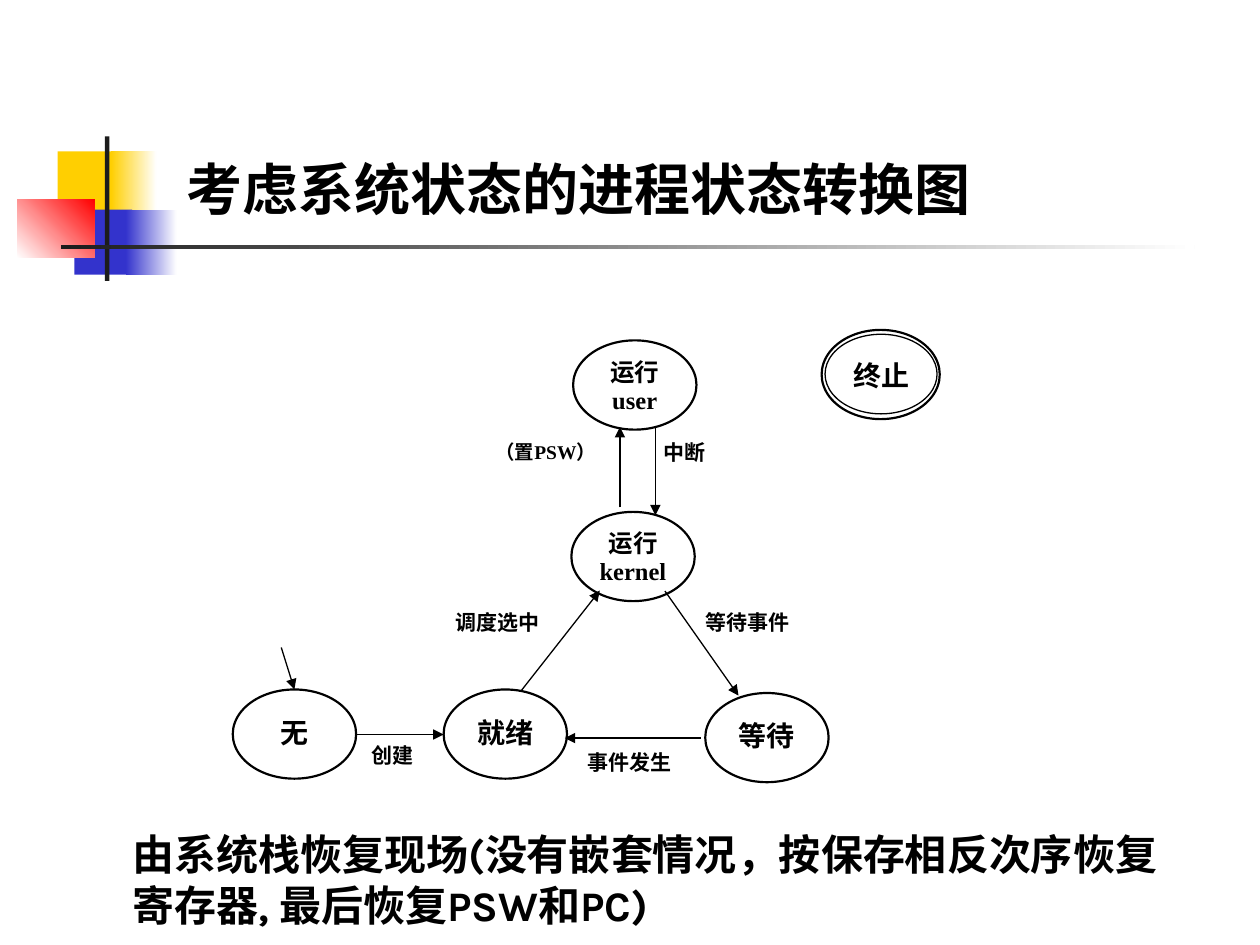
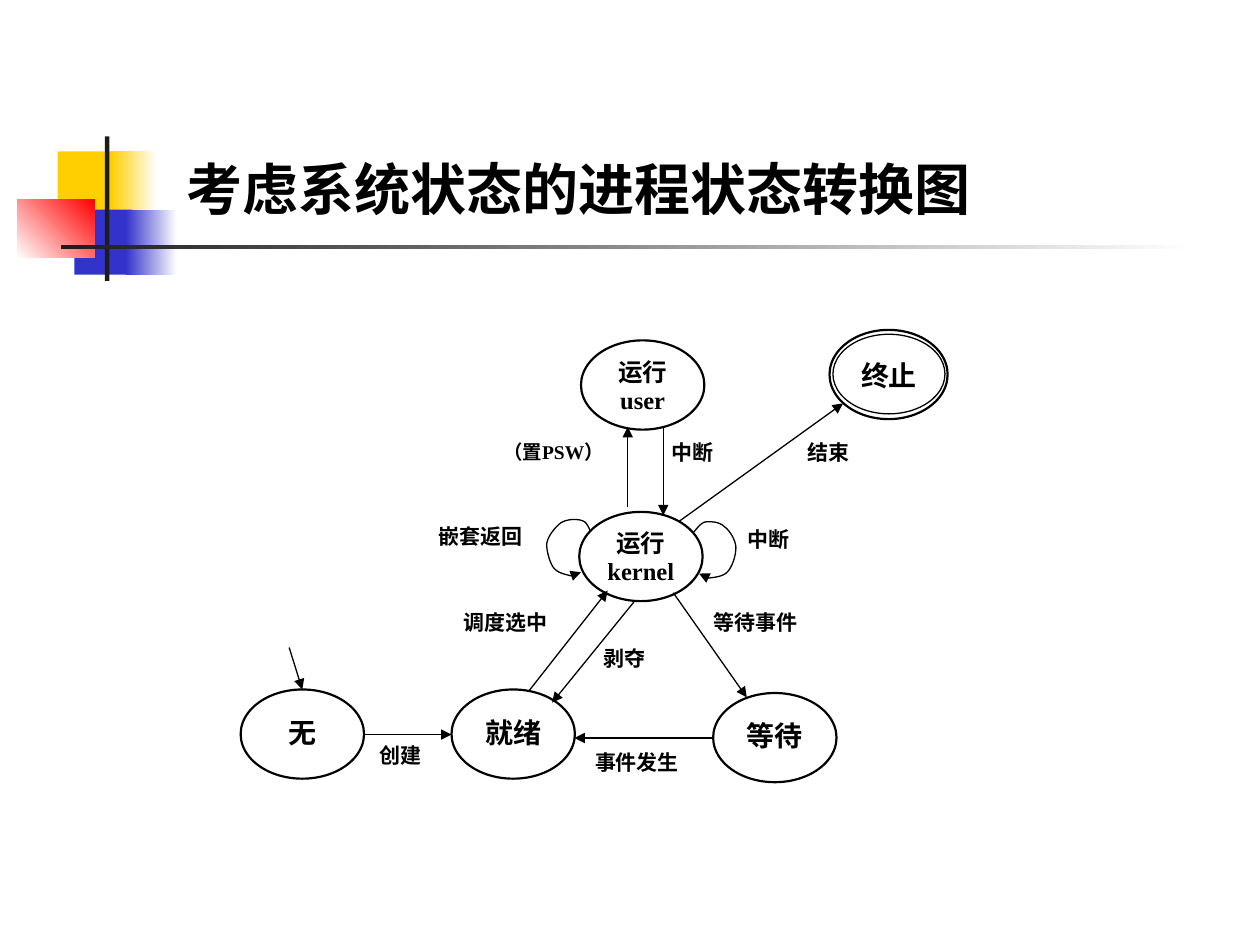
from pptx import Presentation
from pptx.dml.color import RGBColor
from pptx.enum import shapes, text
from pptx.oxml import parse_xml
from pptx.oxml.ns import nsdecls, qn
from pptx.util import Pt

BLACK, WHITE, DARK = "000000", "FFFFFF", "1C1C1C"
YELLOW, BLUE, RED = "FFCF01", "3333CC", "FF0000"
TITLE_FONT, DIAGRAM_FONT = "Karla", "Times New Roman"
TITLE = "考虑系统状态的进程状态转换图"

DECORATION = [
    ((33, 86.5, 34.5, 37.5), [YELLOW], 0),
    ((63.5, 86.5, 26, 37.5), [YELLOW, WHITE], 0),
    ((42.5, 119.75, 33, 37.25), [BLUE], 0),
    ((72, 119.75, 29, 37.25), [BLUE, WHITE], 0),
    ((9.75, 113.75, 44.25, 33.5), [WHITE, RED], 45),
    ((60, 78, 2.5, 82.5), [DARK], 0),
    ((34.75, 140, 648, 2.5), [DARK, WHITE], 0),
]
STATE_SIZE = (70.5, 51)
STATES = [
    (["运行", "user"], 327.5, 194.5),
    (["运行", "kernel"], 326.5, 292.5),
    (["等待"], 403, 396),
    (["就绪"], 253.5, 394),
    (["无"], 133, 394),
]
FINAL_STATE = (["终止"], 471.5, 191)
FINAL_SIZE = (64, 45.5)
FINAL_RING = (469.5, 188.5, 67.5, 51)

LABELS = [
    ("等待事件", 401.5, 347.5, 57.5),
    ("调度选中", 259, 347.5, 56),
    ("中断", 377.5, 250.5, 33),
    ("事件发生", 334, 427.5, 59),
    ("创建", 211, 423.5, 34.5),
]
RESTORE_LABEL = ("（置PSW）", 281.5, 252.5, 69)
ARROWS = [
    (374.5, 244, 374.5, 294.5),
    (354.25, 290, 354.25, 244),
    (298, 394.5, 342.75, 337.5),
    (203.75, 419.75, 253.5, 419.75),
    (160.75, 370, 168.25, 394),
]

DIAGRAMS = [
    {
        "shift": 0,
        "labels": [],
        "arrows": [(380, 337.75, 422, 397.5), (400.5, 421.75, 322.75, 421.75)],
        "loops": [],
        "note": "由系统栈恢复现场(没有嵌套情况，按保存相反次序恢复寄存器, 最后恢复PSW和PC)",
    },
    {
        "shift": 4.5,
        "labels": [
            ("剥夺", 343.5, 368, 36),
            ("中断", 425.5, 300, 36),
            ("嵌套返回", 249, 298.5, 57.5),
            ("结束", 460, 250.5, 34.5),
        ],
        "arrows": [
            (384.75, 338.75, 426.75, 398.5),
            (407, 421.75, 328.25, 421.75),
            (362.25, 344, 315.5, 401.5),
            (388, 298, 481.75, 230.5),
        ],
        "loops": [
            [(396.5, 304), (399, 301), (400.5, 299), (403, 298.25),
             (406, 298), (411, 298), (414, 301),
             (417, 303), (420.5, 309), (420.5, 313),
             (420.5, 317.5), (418.5, 324), (415.5, 327),
             (413, 329.5), (408, 330), (405.5, 330.25),
             (402.5, 330.5), (401, 329), (399.5, 327.75)],
            [(337.5, 304), (336.25, 301), (335, 298), (332.5, 297.5),
             (330, 296.5), (324, 296.5), (320.5, 298.75),
             (317.5, 301), (313.25, 306), (312.5, 310.25),
             (312, 314), (314, 321), (316, 324),
             (318.25, 327.5), (323.25, 328.25), (326, 329),
             (328.25, 329), (330.5, 328.25), (332, 327)],
        ],
        "note": None,
    },
]


def color(value):
    return RGBColor.from_string(value)


def add_shape(slide, kind, box, fills, angle=0, line=None, width=0.75):
    shape = slide.shapes.add_shape(kind, *map(Pt, box))
    shape.shadow.inherit = False
    if len(fills) == 2:
        shape.fill.gradient()
        shape.fill.gradient_angle = angle
        for stop, value in zip(shape.fill.gradient_stops, fills):
            stop.color.rgb = color(value)
    elif fills:
        shape.fill.solid()
        shape.fill.fore_color.rgb = color(fills[0])
    else:
        shape.fill.background()
    if line:
        shape.line.color.rgb = color(line)
        shape.line.width = Pt(width)
    else:
        shape.line.fill.background()
    return shape


def write(shape, lines, size, font, margins, align, spacing=None):
    frame = shape.text_frame
    frame.word_wrap = True
    frame.vertical_anchor = text.MSO_ANCHOR.TOP
    left, top, bottom = margins
    frame.margin_left = frame.margin_right = Pt(left)
    frame.margin_top, frame.margin_bottom = Pt(top), Pt(bottom)
    for index, line in enumerate(lines):
        paragraph = frame.add_paragraph() if index else frame.paragraphs[0]
        paragraph.text = line
        paragraph.alignment = align
        if spacing:
            paragraph.line_spacing = spacing
        paragraph.font.size = Pt(size)
        paragraph.font.name = font
        paragraph.font.bold = True
        paragraph.font.color.rgb = color(BLACK)


def add_text(slide, content, box, size):
    shape = slide.shapes.add_textbox(*map(Pt, box))
    write(shape, [content], size, TITLE_FONT, (7.2, 3.6, 3.6), text.PP_ALIGN.LEFT)


def add_label(slide, label, shift, size=12, spacing=None):
    name, left, top, width = label
    box = (left + shift, top, width, 24)
    shape = add_shape(slide, shapes.MSO_SHAPE.RECTANGLE, box, [WHITE], line=WHITE)
    write(shape, [name], size, DIAGRAM_FONT, (1.5, 0.75, 0.75),
          text.PP_ALIGN.JUSTIFY, spacing)


def add_state(slide, state, shift, dimensions, width):
    lines, left, top = state
    box = (left + shift, top, *dimensions)
    shape = add_shape(slide, shapes.MSO_SHAPE.OVAL, box, [WHITE], line=BLACK, width=width)
    size, margins = (14, (3, 3, 3)) if len(lines) > 1 else (16, (3, 8.5, 5.75))
    write(shape, lines, size, DIAGRAM_FONT, margins, text.PP_ALIGN.CENTER, 0.96)


def style_arrow(shape):
    shape.line.color.rgb = color(BLACK)
    shape.line.width = Pt(0.75)
    line = shape._element.spPr.find(qn("a:ln"))
    line.append(parse_xml(f'<a:tailEnd {nsdecls("a")} type="triangle"/>'))


def add_arrow(slide, ends, shift):
    x1, y1, x2, y2 = ends
    connector = slide.shapes.add_connector(
        shapes.MSO_CONNECTOR.STRAIGHT, Pt(x1 + shift), Pt(y1), Pt(x2 + shift), Pt(y2))
    style_arrow(connector)
    connector._element.spPr.append(parse_xml(f'<a:effectLst {nsdecls("a")}/>'))


def curve_points(points, steps=8):
    for start in range(0, len(points) - 1, 3):
        for step in range(1, steps + 1):
            t = step / steps
            weights = ((1 - t) ** 3, 3 * t * (1 - t) ** 2, 3 * t * t * (1 - t), t ** 3)
            corners = points[start:start + 4]
            yield tuple(Pt(sum(w * corner[axis] for w, corner in zip(weights, corners)))
                        for axis in (0, 1))


def add_loop(slide, points):
    builder = slide.shapes.build_freeform(*map(Pt, points[0]))
    builder.add_line_segments(list(curve_points(points)), close=False)
    loop = builder.convert_to_shape()
    loop.shadow.inherit = False
    loop.fill.background()
    style_arrow(loop)


def add_frame(slide):
    for box, fills, angle in DECORATION:
        add_shape(slide, shapes.MSO_SHAPE.RECTANGLE, box, fills, angle)
    add_text(slide, TITLE, (99.5, 85, 476, 46), 32)


def add_diagram(slide, diagram):
    shift = diagram["shift"]
    for label in LABELS:
        add_label(slide, label, shift)
    add_label(slide, RESTORE_LABEL, shift, 11.1, 0.9)
    for label in diagram["labels"]:
        add_label(slide, label, 0)
    for state in STATES:
        add_state(slide, state, shift, STATE_SIZE, 1.25)
    add_state(slide, FINAL_STATE, shift, FINAL_SIZE, 0.75)
    left, *rest = FINAL_RING
    add_shape(slide, shapes.MSO_SHAPE.OVAL, (left + shift, *rest), [], line=BLACK, width=1.25)
    for ends in ARROWS:
        add_arrow(slide, ends, shift)
    for ends in diagram["arrows"]:
        add_arrow(slide, ends, 0)
    for points in diagram["loops"]:
        add_loop(slide, points)
    if diagram["note"]:
        add_text(slide, diagram["note"], (68.5, 470, 620, 65), 24)


def main():
    presentation = Presentation()
    presentation.slide_width, presentation.slide_height = Pt(720), Pt(540)
    for diagram in DIAGRAMS:
        slide = presentation.slides.add_slide(presentation.slide_layouts[6])
        add_frame(slide)
        add_diagram(slide, diagram)
    presentation.save("out.pptx")


if __name__ == "__main__":
    main()
